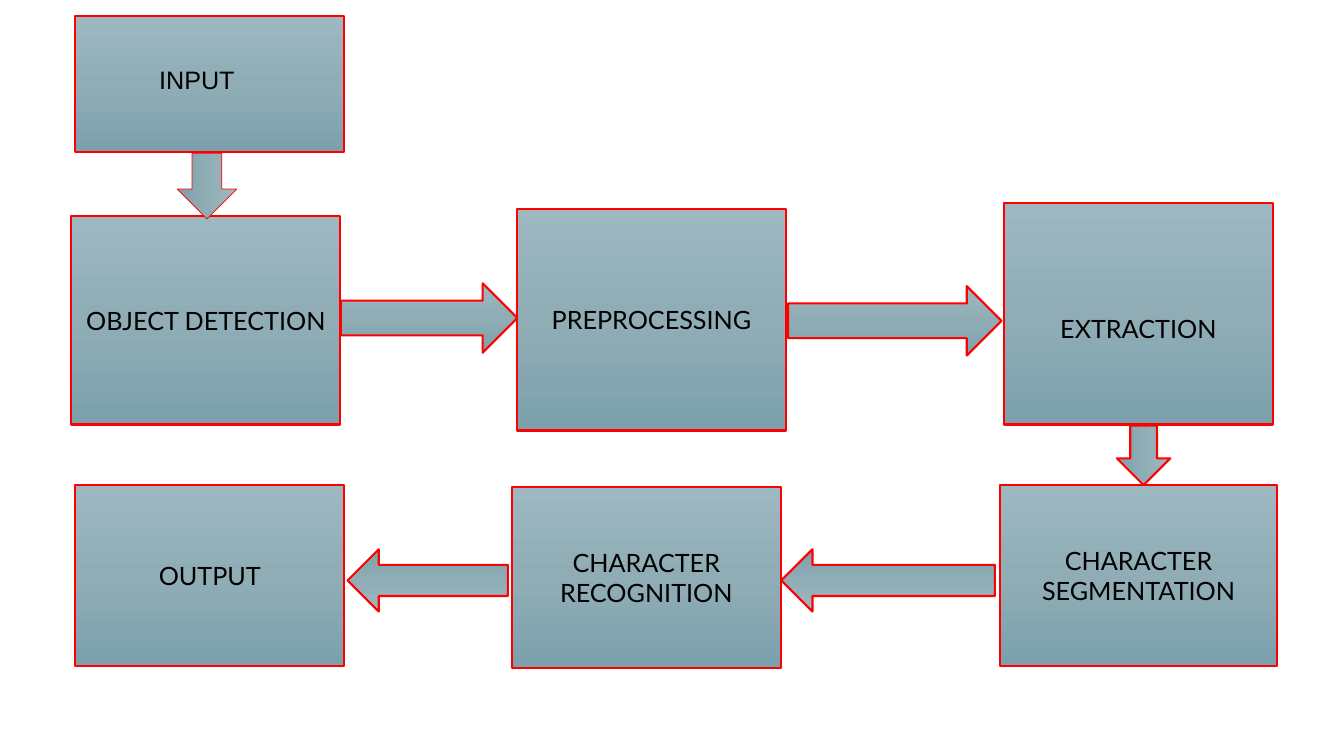
import copy
from dataclasses import dataclass

import pptx
import pptx.dml.color
import pptx.enum.shapes
import pptx.enum.text
import pptx.util
from pptx.util import Cm


@dataclass(frozen=True)
class Theme:
    gradient: tuple = ((0, "9DB8C1"), (0.5, "90ADB6"), (1, "7CA1AC"))
    outline: str = "FF0000"
    text: str = "000000"
    box_font: str = "Lato"
    input_font: str = "Arial"
    text_size: int = 18
    line_width: float = 1.5
    thin_line_width: float = 0.5


theme = Theme()
RGBColor = pptx.dml.color.RGBColor
MSO_SHAPE = pptx.enum.shapes.MSO_SHAPE


def add_gradient_shape(slide, kind, bounds, line_width):
    shape = slide.shapes.add_shape(kind, *[Cm(value) for value in bounds])
    shape.shadow.inherit = False
    shape.fill.gradient()
    shape.fill.gradient_angle = 270
    # A default gradient has two stops; the middle one is cloned from the first.
    first_stop = shape._element.spPr.xpath("a:gradFill/a:gsLst/a:gs")[0]
    first_stop.addnext(copy.deepcopy(first_stop))
    for stop, (position, color) in zip(shape.fill.gradient_stops, theme.gradient):
        stop.position = position
        stop.color.rgb = RGBColor.from_string(color)
    shape.line.color.rgb = RGBColor.from_string(theme.outline)
    shape.line.width = pptx.util.Pt(line_width)
    return shape


def write_lines(text_frame, lines, font_name, alignment):
    text_frame.text = "\n".join(lines)
    font_format = {"name": font_name, "size": pptx.util.Pt(theme.text_size)}
    for paragraph in text_frame.paragraphs:
        paragraph.alignment = alignment
        font = paragraph.runs[0].font
        for attribute, value in font_format.items():
            setattr(font, attribute, value)
        font.color.rgb = RGBColor.from_string(theme.text)


presentation = pptx.Presentation()
presentation.slide_width = Cm(33.87)
presentation.slide_height = Cm(19.05)
slide = presentation.slides.add_slide(presentation.slide_layouts[6])

# Steps: lines of text, (left, top, width, height), top margin; all in cm
steps = [
    ([], (1.9, 0.41, 6.78, 3.43), 0.13),
    (["OBJECT DETECTION"], (1.8, 5.44, 6.78, 5.26), 0.13),
    (["OUTPUT"], (1.9, 12.22, 6.78, 4.57), 0.13),
    (["CHARACTER", "RECOGNITION"], (12.9, 12.27, 6.78, 4.57), 0.13),
    (["CHARACTER", "SEGMENTATION"], (25.2, 12.22, 6.99, 4.57), 0.13),
    (["PREPROCESSING"], (13.03, 5.26, 6.78, 5.59), 0.13),
    (["EXTRACTION"], (25.3, 5.11, 6.78, 5.59), 0.89),
]
for lines, bounds, top_margin in steps:
    box = add_gradient_shape(slide, MSO_SHAPE.RECTANGLE, bounds, theme.line_width)
    if lines:
        box.text_frame.margin_top = Cm(top_margin)
        box.text_frame.vertical_anchor = pptx.enum.text.MSO_ANCHOR.MIDDLE
        write_lines(box.text_frame, lines, theme.box_font, pptx.enum.text.PP_ALIGN.CENTER)

input_label = slide.shapes.add_textbox(Cm(3.76), Cm(1.5), Cm(2.74), Cm(1.02))
input_label.text_frame.word_wrap = True
write_lines(input_label.text_frame, ["INPUT"], theme.input_font, pptx.enum.text.PP_ALIGN.LEFT)

# Arrows: (left, top, width, height) in cm before rotation, degrees, line width
arrows = [
    ((4.39, 3.94, 1.65, 1.5), 90, theme.thin_line_width),
    ((19.69, 13.84, 5.38, 1.57), 180, theme.line_width),
    ((28.07, 10.8, 1.5, 1.35), 90, theme.line_width),
    ((8.59, 7.14, 4.45, 1.75), 0, theme.line_width),
    ((19.86, 7.21, 5.38, 1.75), 0, theme.line_width),
    ((8.76, 13.84, 4.04, 1.57), 180, theme.line_width),
]
for bounds, rotation, line_width in arrows:
    arrow = add_gradient_shape(slide, MSO_SHAPE.RIGHT_ARROW, bounds, line_width)
    arrow.rotation = rotation

presentation.save("out.pptx")
